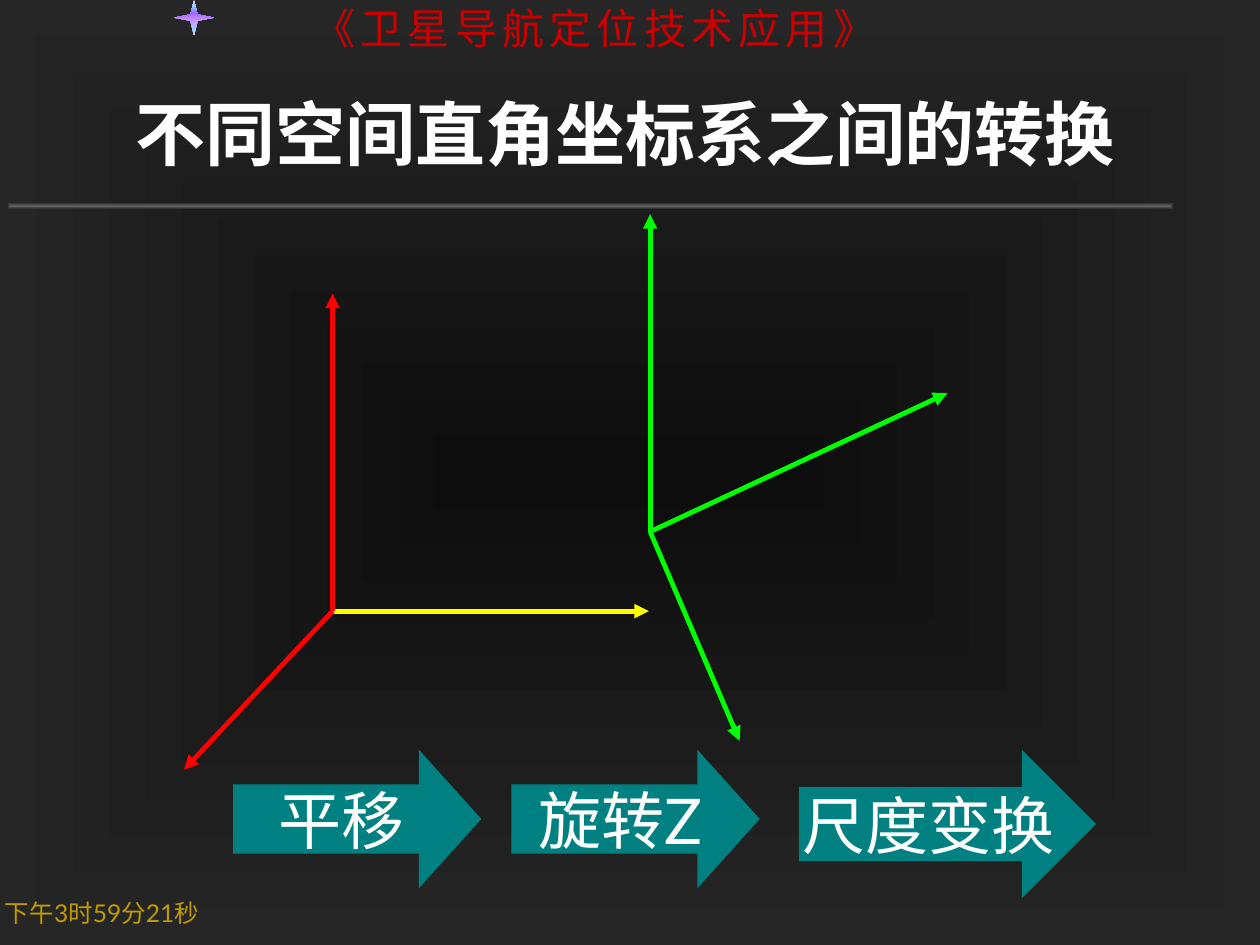
from dataclasses import dataclass

from lxml import etree
from pptx import Presentation
from pptx.dml.color import RGBColor
from pptx.enum.shapes import MSO_CONNECTOR, MSO_SHAPE
from pptx.enum.text import MSO_ANCHOR, PP_ALIGN
from pptx.oxml.ns import qn
from pptx.util import Inches, Pt

STAR, RECT, ARROW = MSO_SHAPE.STAR_4_POINT, MSO_SHAPE.RECTANGLE, MSO_SHAPE.RIGHT_ARROW
STRAIGHT = MSO_CONNECTOR.STRAIGHT
TOP, MIDDLE, BOTTOM = MSO_ANCHOR.TOP, MSO_ANCHOR.MIDDLE, MSO_ANCHOR.BOTTOM
LEFT, CENTER = PP_ALIGN.LEFT, PP_ALIGN.CENTER


@dataclass(frozen=True)
class Theme:
    font: str = "Lato"
    cjk_font: str = "Noto Sans CJK SC"
    white: str = "FFFFFF"
    teal: str = "008080"
    red: str = "FF0000"
    yellow: str = "FFFF00"
    green: str = "00FF00"
    course: str = "CC0000"
    clock: str = "C09C00"
    backdrop: tuple = ((0, "0D0D0D"), (100, "262626"))
    rule: tuple = ((0, "5F5F5F"), (100, "2C2C2C"))
    star: tuple = ((0, "CCCCFF"), (18, "99CCFF"), (36, "9966FF"),
                   (61, "CC99FF"), (82, "99CCFF"), (100, "CCCCFF"))
    title_size: int = 40
    step_size: int = 36
    course_size: int = 24
    clock_size: int = 14
    axis_width: float = 2.75


def sub(parent, tag, **attrs):
    return etree.SubElement(parent, qn(tag), {k: str(v) for k, v in attrs.items()})


def set_gradient(fill, owner, stops, angle=None):
    """Give a fill the stops; without an angle they run out from the centre."""
    fill.gradient()
    grad = next(owner.iter(qn("a:gradFill")))
    for child in list(grad):
        grad.remove(child)
    gs_list = sub(grad, "a:gsLst")
    for pos, color in stops:
        sub(sub(gs_list, "a:gs", pos=pos * 1000), "a:srgbClr", val=color)
    if angle is None:
        shade = sub(grad, "a:path", path="shape")
        sub(shade, "a:fillToRect", l=50000, t=50000, r=50000, b=50000)
    else:
        sub(grad, "a:lin", ang=angle * 60000, scaled=1)


def write_text(tf, text, *, size, color, font, cjk_font, bold=False,
               spacing=0, align=LEFT, anchor=TOP, wrap=True):
    tf.word_wrap = wrap
    tf.vertical_anchor = anchor
    p = tf.paragraphs[0]
    p.alignment = align
    r = p.add_run()
    r.text = text
    r.font.size = Pt(size)
    r.font.bold = bold
    r.font.color.rgb = RGBColor.from_string(color)
    r.font.name = font
    r_pr = r.font._element
    sub(r_pr, "a:ea", typeface=cjk_font)
    if spacing:
        r_pr.set("spc", str(spacing * 100))


class SlideBuilder:
    def __init__(self, slide, theme):
        self.s = slide
        self.theme = theme

    def background(self, stops):
        set_gradient(self.s.background.fill, self.s._element, stops)

    def text(self, box, text, font=None, **fmt):
        tb = self.s.shapes.add_textbox(*map(Inches, box))
        write_text(tb.text_frame, text, font=font or self.theme.font,
                   cjk_font=self.theme.cjk_font, **fmt)

    def shape(self, kind, box, adjustments=()):
        sp = self.s.shapes.add_shape(kind, *map(Inches, box))
        sp.shadow.inherit = False
        sp.line.fill.background()
        for i, value in enumerate(adjustments):
            sp.adjustments[i] = value
        return sp

    def gradient_shape(self, kind, box, stops, angle=None, adjustments=()):
        sp = self.shape(kind, box, adjustments)
        set_gradient(sp.fill, sp._element.spPr, stops, angle)

    def step(self, box, text, head):
        sp = self.shape(ARROW, box, (0.5, head))
        sp.fill.solid()
        sp.fill.fore_color.rgb = RGBColor.from_string(self.theme.teal)
        write_text(sp.text_frame, text, size=self.theme.step_size,
                   color=self.theme.white, font=self.theme.font,
                   cjk_font=self.theme.cjk_font, align=CENTER,
                   anchor=MIDDLE, wrap=False)

    def axis(self, start, end, color):
        line = self.s.shapes.add_connector(STRAIGHT, *map(Inches, start + end))
        line.line.width = Pt(self.theme.axis_width)
        line.line.color.rgb = RGBColor.from_string(color)
        sub(line.line._get_or_add_ln(), "a:tailEnd", type="triangle")
        sub(line._element.spPr, "a:effectLst")


def main():
    prs = Presentation()
    prs.slide_width, prs.slide_height = Inches(10), Inches(7.5)
    theme = Theme()
    b = SlideBuilder(prs.slides.add_slide(prs.slide_layouts[6]), theme)

    # Backdrop, star and rule
    b.background(theme.backdrop)
    b.gradient_shape(STAR, (1.38, 0, 0.32, 0.28), theme.star, 90, (0.125,))
    b.gradient_shape(RECT, (0.06, 1.61, 9.25, 0.05), theme.rule)

    # Course name and title
    b.text((2.39, -0.03, 6.07, 0.5), "《卫星导航定位技术应用》", font=theme.cjk_font,
           size=theme.course_size, color=theme.course, spacing=3)
    b.text((0.98, 0.44, 8.03, 0.99), "不同空间直角坐标系之间的转换",
           size=theme.title_size, color=theme.white, bold=True, anchor=BOTTOM)

    # First coordinate system
    origin = (2.64, 4.85)
    for end, color in (((5.15, 4.85), theme.yellow),
                       ((2.64, 2.33), theme.red),
                       ((1.46, 6.11), theme.red)):
        b.axis(origin, end, color)

    # Transformation steps
    for left, width, height, head, label in (
            (1.85, 1.97, 1.1, 0.45, "平移"),
            (4.06, 1.97, 1.1, 0.45, "旋转Z"),
            (6.34, 2.36, 1.18, 0.5, "尺度变换")):
        b.step((left, 5.95, width, height), label, head)

    # Second coordinate system
    origin = (5.16, 4.22)
    for end in ((7.52, 3.12), (5.16, 1.7), (5.87, 5.88)):
        b.axis(origin, end, theme.green)

    # Time
    b.text((-0.06, 6.91, 2.08, 0.5), "下午3时59分21秒",
           size=theme.clock_size, color=theme.clock, anchor=BOTTOM)

    prs.save("out.pptx")


if __name__ == "__main__":
    main()
